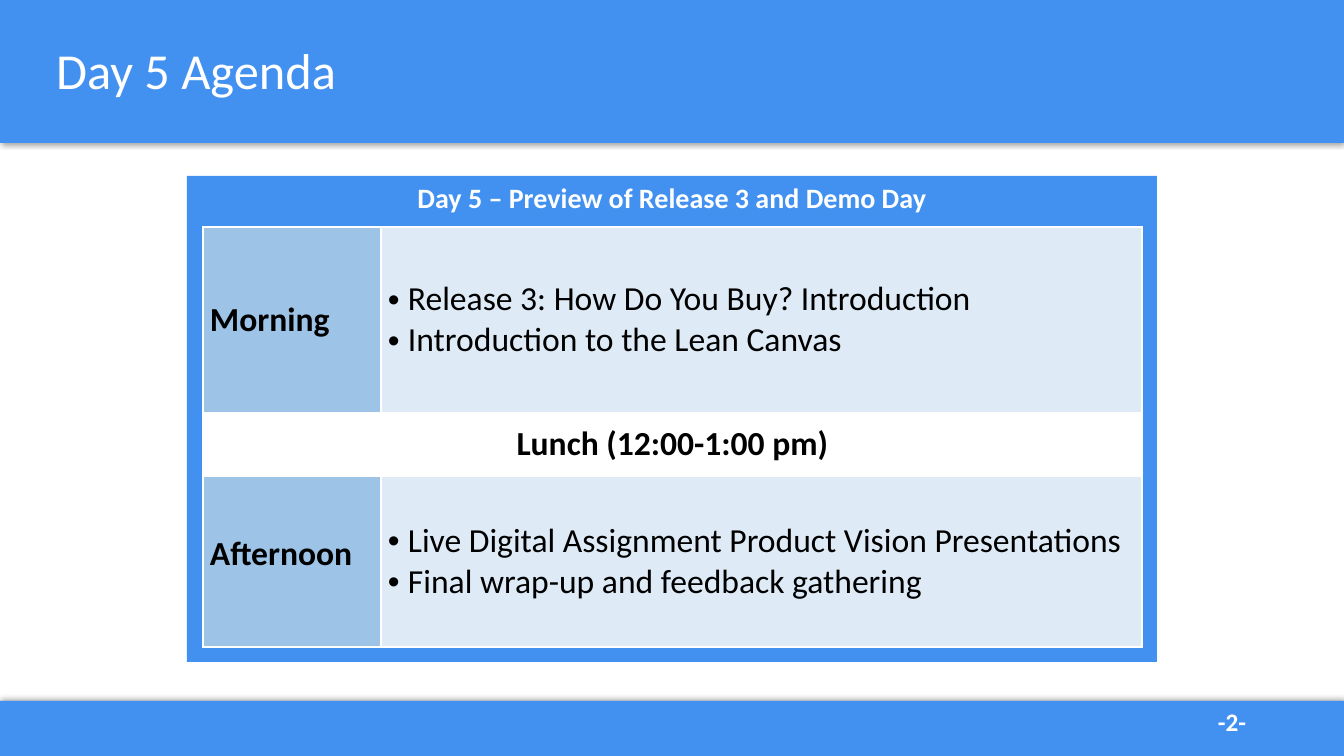
from lxml import etree
from pptx import Presentation
from pptx import util as u
from pptx.dml.color import RGBColor
from pptx.enum import shapes, text
from pptx.oxml import parse_xml
from pptx.oxml.ns import nsdecls, qn

PX = 914400 / 100.8
COLOURS = {"blue": "4291F0", "label": "9DC3E6", "pale": "DEEBF7",
           "white": "FFFFFF", "black": "000000"}
LEFT, CENTER = text.PP_ALIGN.LEFT, text.PP_ALIGN.CENTER
TOP, MIDDLE = text.MSO_ANCHOR.TOP, text.MSO_ANCHOR.MIDDLE


def px(length):
    return u.Emu(round(length * PX))


def rgb(name):
    return RGBColor.from_string(COLOURS[name])


def set_all(target, values):
    for name, value in values.items():
        setattr(target, name, value)


class AgendaSlide:
    font_name = "Calibri"

    def __init__(self, presentation):
        self.slide = presentation.slides.add_slide(presentation.slide_layouts[5])
        self.shapes = self.slide.shapes

    def add_lines(self, frame, lines, size, colour, bold=False, align=LEFT, bullet=False,
                  spacing=1.0):
        for index, line in enumerate(lines):
            paragraph = frame.add_paragraph() if index else frame.paragraphs[0]
            paragraph.text = line
            set_all(paragraph, {"alignment": align, "line_spacing": spacing})
            if bullet:
                properties = paragraph._p.get_or_add_pPr()
                properties.set("marL", str(px(20)))
                properties.set("indent", str(-px(20)))
                etree.SubElement(properties, qn("a:buFont"), typeface="Arial")
                etree.SubElement(properties, qn("a:buChar"), char="•")
            set_all(paragraph.font, {"name": self.font_name, "size": u.Pt(size), "bold": bold})
            paragraph.font.color.rgb = rgb(colour)

    def title(self, box, line):
        shape = self.shapes.title
        set_all(shape, dict(zip(("left", "top", "width", "height"), map(px, box))))
        set_all(shape.text_frame, {"vertical_anchor": MIDDLE, "word_wrap": True})
        self.add_lines(shape.text_frame, [line], 36, "white", spacing=0.9)

    def panel(self, box):
        shape = self.shapes.add_shape(shapes.MSO_SHAPE.RECTANGLE, *map(px, box))
        shape.shadow.inherit = False
        shape.fill.solid()
        shape.fill.fore_color.rgb = rgb("blue")
        shape.line.fill.background()
        return shape

    def bar(self, box, shadow_degrees):
        """Add a shadowed band behind everything else on the slide."""
        shape = self.panel(box)
        effects = shape._element.spPr.find(qn("a:effectLst"))
        effects.append(parse_xml(
            f'<a:outerShdw {nsdecls("a")} blurRad="{u.Pt(4)}" dist="{u.Pt(1)}" '
            f'dir="{shadow_degrees * 60000}" rotWithShape="0"><a:srgbClr val="{COLOURS["black"]}">'
            '<a:alpha val="40000"/></a:srgbClr></a:outerShdw>'))
        self.shapes._spTree.insert(2, shape._element)

    def headed_panel(self, box, line):
        frame = self.panel(box).text_frame
        set_all(frame, {"vertical_anchor": TOP, "word_wrap": True})
        self.add_lines(frame, [line], 20, "white", bold=True, align=CENTER)

    def label(self, box, line):
        frame = self.shapes.add_textbox(*map(px, box)).text_frame
        frame.word_wrap = True
        self.add_lines(frame, [line], 18, "white", bold=True)

    def table(self, left, top, columns, rows):
        box = (left, top, sum(columns), sum(rows))
        table = self.shapes.add_table(len(rows), len(columns), *map(px, box)).table
        set_all(table, {"first_row": False, "horz_banding": False})
        for column, width in zip(table.columns, columns):
            column.width = px(width)
        for row, height in zip(table.rows, rows):
            row.height = px(height)
        return table

    def cell(self, cell, lines, fill, bottom=4, **style):
        properties = cell._tc.get_or_add_tcPr()
        for side in "LRTB":
            properties.append(parse_xml(
                f'<a:ln{side} {nsdecls("a")} w="{u.Pt(1)}"><a:solidFill>'
                f'<a:srgbClr val="{COLOURS["white"]}"/></a:solidFill></a:ln{side}>'))
        cell.fill.solid()
        cell.fill.fore_color.rgb = rgb(fill)
        set_all(cell, {"vertical_anchor": MIDDLE, "margin_left": px(7), "margin_right": px(7),
                       "margin_top": px(4), "margin_bottom": px(bottom)})
        self.add_lines(cell.text_frame, lines, 24, "black", **style)


def main():
    presentation = Presentation()
    set_all(presentation, {"slide_width": px(1344), "slide_height": px(756)})
    agenda = AgendaSlide(presentation)
    agenda.bar((0, 0, 1344, 143), 90)
    agenda.bar((0, 701, 1344, 55), 270)
    agenda.title((46, 0, 1252, 146), "Day 5 Agenda")
    agenda.label((1208, 701, 99, 40), "-2-")
    agenda.headed_panel((187, 176, 970, 486), "Day 5 – Preview of Release 3 and Demo Day")

    table = agenda.table(203, 227, (178, 761), (186, 63, 171))
    sessions = (
        (0, "Morning", 4, ["Release 3: How Do You Buy? Introduction",
                           "Introduction to the Lean Canvas"]),
        (2, "Afternoon", 18, ["Live Digital Assignment Product Vision Presentations",
                              "Final wrap-up and feedback gathering"]),
    )
    for row, name, bottom, topics in sessions:
        agenda.cell(table.cell(row, 0), [name], "label", bottom, bold=True)
        agenda.cell(table.cell(row, 1), topics, "pale", bullet=True)
    lunch = table.cell(1, 0)
    lunch.merge(table.cell(1, 1))
    agenda.cell(lunch, ["Lunch (12:00-1:00 pm)"], "white", bold=True, align=CENTER)

    presentation.save("out.pptx")


if __name__ == "__main__":
    main()
